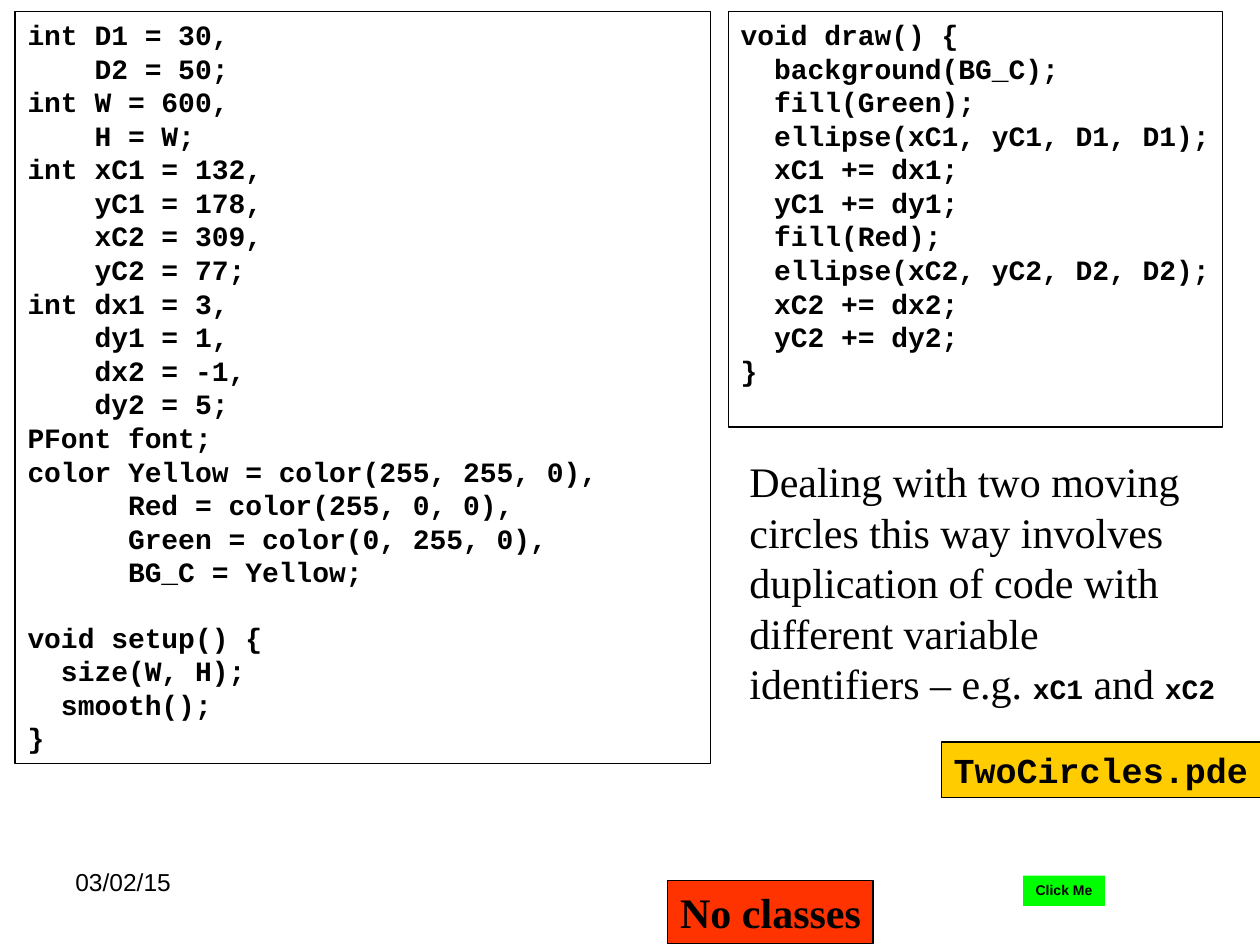
"""Build a slide that shows a two-circle animation program and its drawback."""
from dataclasses import dataclass

from pptx import Presentation
from pptx.dml.color import RGBColor
from pptx.enum.shapes import MSO_SHAPE
from pptx.enum.text import MSO_ANCHOR, MSO_AUTO_SIZE, PP_ALIGN
from pptx.util import Inches, Pt

RECT = MSO_SHAPE.RECTANGLE
TOP = MSO_ANCHOR.TOP
NO_FIT = MSO_AUTO_SIZE.NONE
LEFT = PP_ALIGN.LEFT

SETUP_CODE = """\
int D1 = 30,
    D2 = 50;
int W = 600,
    H = W;
int xC1 = 132,
    yC1 = 178,
    xC2 = 309,
    yC2 = 77;
int dx1 = 3,
    dy1 = 1,
    dx2 = -1,
    dy2 = 5;
PFont font;
color Yellow = color(255, 255, 0),
      Red = color(255, 0, 0),
      Green = color(0, 255, 0),
      BG_C = Yellow;
void setup() {
  size(W, H);
  smooth();
}"""

DRAW_CODE = """\
void draw() {
  background(BG_C);
  fill(Green);
  ellipse(xC1, yC1, D1, D1);
  xC1 += dx1;
  yC1 += dy1;
  fill(Red);
  ellipse(xC2, yC2, D2, D2);
  xC2 += dx2;
  yC2 += dy2;
}"""

REMARK = ("Dealing with two moving circles this way involves duplication of "
          "code with different variable identifiers – e.g. ")


def font_style(name, size, bold=False):
    """Return the font values for one text style."""
    return {"name": name, "size": Pt(size), "bold": bold}


@dataclass(frozen=True)
class Theme:
    """Colours, type styles and line measures of the slide."""
    ink: RGBColor = RGBColor(0, 0, 0)
    button: RGBColor = RGBColor(0, 255, 0)
    file_tag: RGBColor = RGBColor(255, 204, 0)
    warning: RGBColor = RGBColor(255, 51, 0)
    border: float = 0.75
    block_gap: float = 18.1
    styles = {
        "code": font_style("Courier New", 16, True),
        "file": font_style("Courier New", 20, True),
        "remark": font_style("Times New Roman", 24),
        "warning": font_style("Times New Roman", 24, True),
        "date": font_style("Arial", 14),
        "button": font_style("Arial", 8, True),
    }


class SlideBuilder:
    """Hold the theme and the current slide and add elements to it."""

    def __init__(self, slide, theme):
        self.s = slide
        self.theme = theme

    def set_text(self, sp, paragraphs, wrap):
        """Fill a shape with paragraphs of (text, style name) runs."""
        tf = sp.text_frame
        frame = {"word_wrap": wrap, "auto_size": NO_FIT, "vertical_anchor": TOP}
        for key, value in frame.items():
            setattr(tf, key, value)
        for i, runs in enumerate(paragraphs):
            p = tf.add_paragraph() if i else tf.paragraphs[0]
            p.alignment = LEFT
            for text, style in runs:
                r = p.add_run()
                r.text = text
                for key, value in self.theme.styles[style].items():
                    setattr(r.font, key, value)
                r.font.color.rgb = self.theme.ink

    def text(self, box, runs):
        """Add a wrapping text box with one paragraph."""
        sp = self.s.shapes.add_textbox(*map(Inches, box))
        self.set_text(sp, [runs], True)

    def panel(self, box, text, style, fill=None, border=True, wrap=False):
        """Add a rectangle with one paragraph per line of text."""
        sp = self.s.shapes.add_shape(RECT, *map(Inches, box))
        sp.shadow.inherit = False
        if fill is None:
            sp.fill.background()
        else:
            sp.fill.solid()
            sp.fill.fore_color.rgb = fill
        if border:
            sp.line.color.rgb = self.theme.ink
            sp.line.width = Pt(self.theme.border)
        else:
            sp.line.fill.background()
        self.set_text(sp, [[(line, style)] for line in text.splitlines()], wrap)
        return sp

    def code(self, box, text, wrap=False):
        """Add a code panel with a gap before each later function."""
        sp = self.panel(box, text, "code", wrap=wrap)
        for p in sp.text_frame.paragraphs[1:]:
            if p.text.startswith("void"):
                p.space_before = Pt(self.theme.block_gap)


def main():
    """Create the presentation and save it."""
    prs = Presentation()
    prs.slide_width, prs.slide_height = Inches(10), Inches(7.5)
    theme = Theme()
    b = SlideBuilder(prs.slides.add_slide(prs.slide_layouts[6]), theme)

    b.text((0.5, 6.83, 2.33, 0.52), [("03/02/15", "date")])
    b.code((0.12, 0.09, 5.52, 5.97), SETUP_CODE, wrap=True)
    b.code((5.78, 0.09, 3.92, 3.3), DRAW_CODE)
    b.panel((8.12, 6.95, 0.65, 0.24), "Click Me", "button", theme.button, border=False)
    b.text((5.85, 3.57, 3.9, 2.1), [
        (REMARK, "remark"), ("xC1", "code"), (" and ", "remark"), ("xC2", "code")])
    b.panel((7.47, 5.89, 2.54, 0.44), "TwoCircles.pde", "file", theme.file_tag)
    b.panel((5.3, 6.99, 1.63, 0.5), "No classes", "warning", theme.warning)

    prs.save("out.pptx")


if __name__ == "__main__":
    main()
